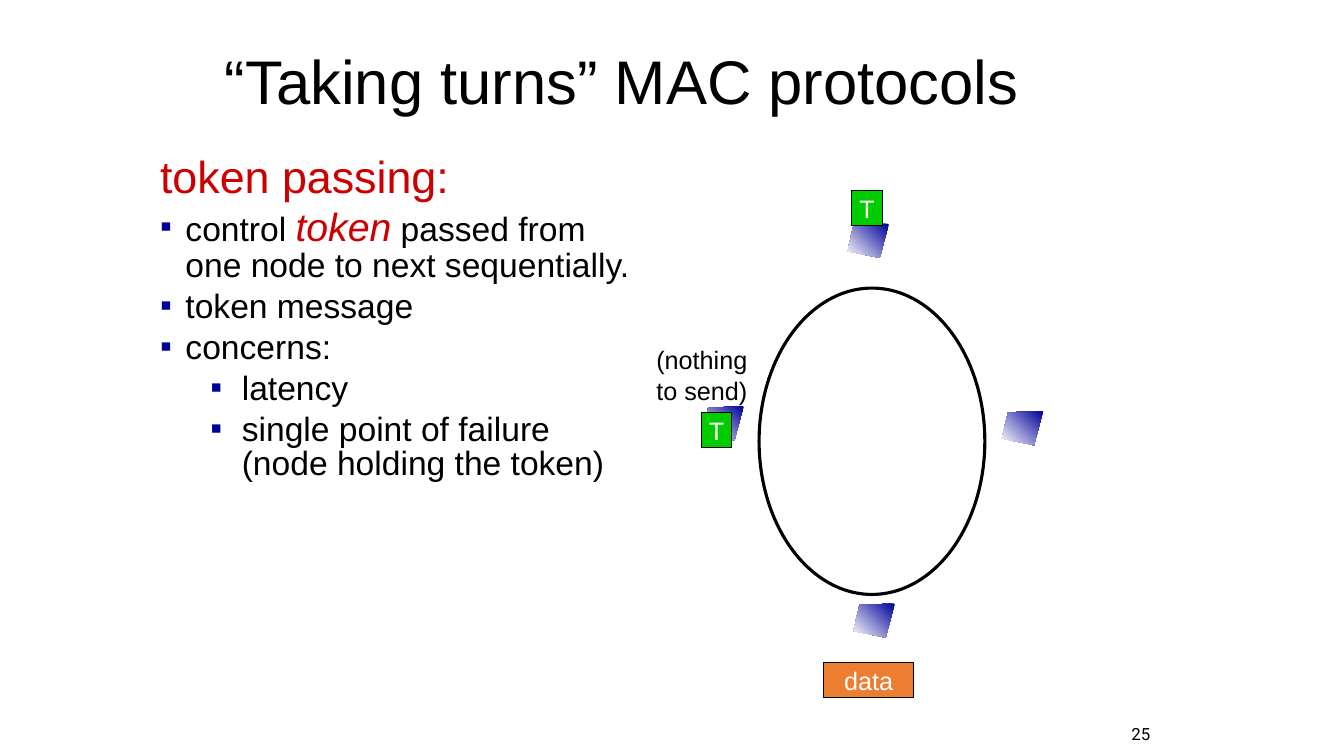
from pptx import Presentation
from pptx.dml.color import RGBColor
from pptx.enum.shapes import MSO_SHAPE
from pptx.enum.text import MSO_ANCHOR, MSO_AUTO_SIZE, PP_ALIGN
from pptx.oxml.ns import qn
from pptx.util import Cm, Pt
from lxml.etree import SubElement

BLACK = RGBColor(0x00, 0x00, 0x00)
WHITE = RGBColor(0xFF, 0xFF, 0xFF)
RED = RGBColor(0xCC, 0x00, 0x00)
NAVY = RGBColor(0x00, 0x00, 0x99)
GREEN = RGBColor(0x00, 0xCC, 0x00)
ORANGE = RGBColor(0xED, 0x7D, 0x31)


def add_text(p, text, size=18, color=BLACK, font="Arial", italic=False, align=PP_ALIGN.LEFT):
    p.alignment = align
    r = p.add_run()
    r.text = text
    r.font.name = font
    r.font.size = Pt(size)
    r.font.color.rgb = color
    r.font.italic = italic


prs = Presentation()
prs.slide_width = Cm(33.87)
prs.slide_height = Cm(19.05)
s = prs.slides.add_slide(prs.slide_layouts[1])

title = s.shapes.title
title.left, title.top, title.width, title.height = Cm(5.41), Cm(0.53), Cm(21.59), Cm(3.18)
tf = title.text_frame
tf.auto_size = MSO_AUTO_SIZE.NONE
tf.vertical_anchor = MSO_ANCHOR.MIDDLE
tf.paragraphs[0].line_spacing = 0.9
add_text(tf.paragraphs[0], "“Taking turns” MAC protocols", size=44)

body = s.placeholders[1]
body.left, body.top, body.width, body.height = Cm(3.78), Cm(3.84), Cm(12.55), Cm(12.9)
tf = body.text_frame
tf.auto_size = MSO_AUTO_SIZE.NONE
p = tf.paragraphs[0]
pPr = p._p.get_or_add_pPr()
pPr.set("marL", str(Cm(0.95)))
pPr.set("indent", str(-Cm(0.95)))
SubElement(pPr, qn("a:buNone"))
p.line_spacing = 0.85
p.space_before = Pt(0)
add_text(p, "token passing:", size=32, color=RED)

bullets = [
    (0, [("control ", {}), ("token", {"size": 28, "color": RED, "italic": True}),
         (" passed from one node to next sequentially.", {})]),
    (0, [("token message", {})]),
    (0, [("concerns:", {})]),
    (1, [("latency", {})]),
    (1, [("single point of failure (node holding the token)", {})]),
]
indents = [(0.64, 0.64), (2.06, 0.79)]
for level, runs in bullets:
    p = tf.add_paragraph()
    p.level = level
    margin, hanging = indents[level]
    pPr = p._p.get_or_add_pPr()
    pPr.set("marL", str(Cm(margin)))
    pPr.set("indent", str(-Cm(hanging)))
    SubElement(SubElement(pPr, qn("a:buClr")), qn("a:srgbClr")).set("val", str(NAVY))
    SubElement(pPr, qn("a:buFont")).set("typeface", "Arial")
    SubElement(pPr, qn("a:buChar")).set("char", "▪")
    p.line_spacing = 0.85
    p.space_before = Pt(4.8)
    for text, style in runs:
        add_text(p, text, **{"size": 24, **style})

for left, top in [(25.25, 10.36), (17.7, 10.24), (21.36, 5.64), (21.51, 15.21)]:
    fb = s.shapes.build_freeform(104, 0, scale=Cm(0.01))
    fb.add_line_segments([(15, 3), (0, 69), (81, 86)], close=True)
    node = fb.convert_to_shape(Cm(left), Cm(top))
    node.shadow.inherit = False
    node.line.fill.background()
    node.fill.gradient()
    node.fill.gradient_angle = 225
    for stop, color in zip(node.fill.gradient_stops, (NAVY, WHITE)):
        stop.color.rgb = color

ring = s.shapes.add_shape(MSO_SHAPE.OVAL, Cm(19.13), Cm(7.26), Cm(5.69), Cm(7.72))
ring.shadow.inherit = False
ring.fill.background()
ring.line.color.rgb = BLACK
ring.line.width = Pt(2.25)

tags = [("T", 21.47, 4.8, 0.76, GREEN), ("T", 17.68, 10.39, 0.76, GREEN),
        ("data", 20.76, 16.69, 2.26, ORANGE)]
for text, left, top, width, color in tags:
    tag = s.shapes.add_shape(MSO_SHAPE.RECTANGLE, Cm(left), Cm(top), Cm(width), Cm(0.89))
    tag.shadow.inherit = False
    tag.fill.solid()
    tag.fill.fore_color.rgb = color
    tag.line.color.rgb = BLACK
    tag.line.width = Pt(0.75)
    tf = tag.text_frame
    tf.word_wrap = False
    tf.vertical_anchor = MSO_ANCHOR.MIDDLE
    add_text(tf.paragraphs[0], text, color=WHITE, align=PP_ALIGN.CENTER)

note = s.shapes.add_textbox(Cm(16.29), Cm(8.56), Cm(2.9), Cm(1.78))
tf = note.text_frame
tf.word_wrap = False
tf.auto_size = MSO_AUTO_SIZE.SHAPE_TO_FIT_TEXT
add_text(tf.paragraphs[0], "(nothing")
add_text(tf.add_paragraph(), "to send)")

number = s.shapes.add_textbox(Cm(27.72), Cm(18.11), Cm(1.52), Cm(0.76))
tf = number.text_frame
tf.word_wrap = True
tf.vertical_anchor = MSO_ANCHOR.MIDDLE
add_text(tf.paragraphs[0], "25", size=12, font="Roboto", align=PP_ALIGN.RIGHT)

prs.save("out.pptx")
